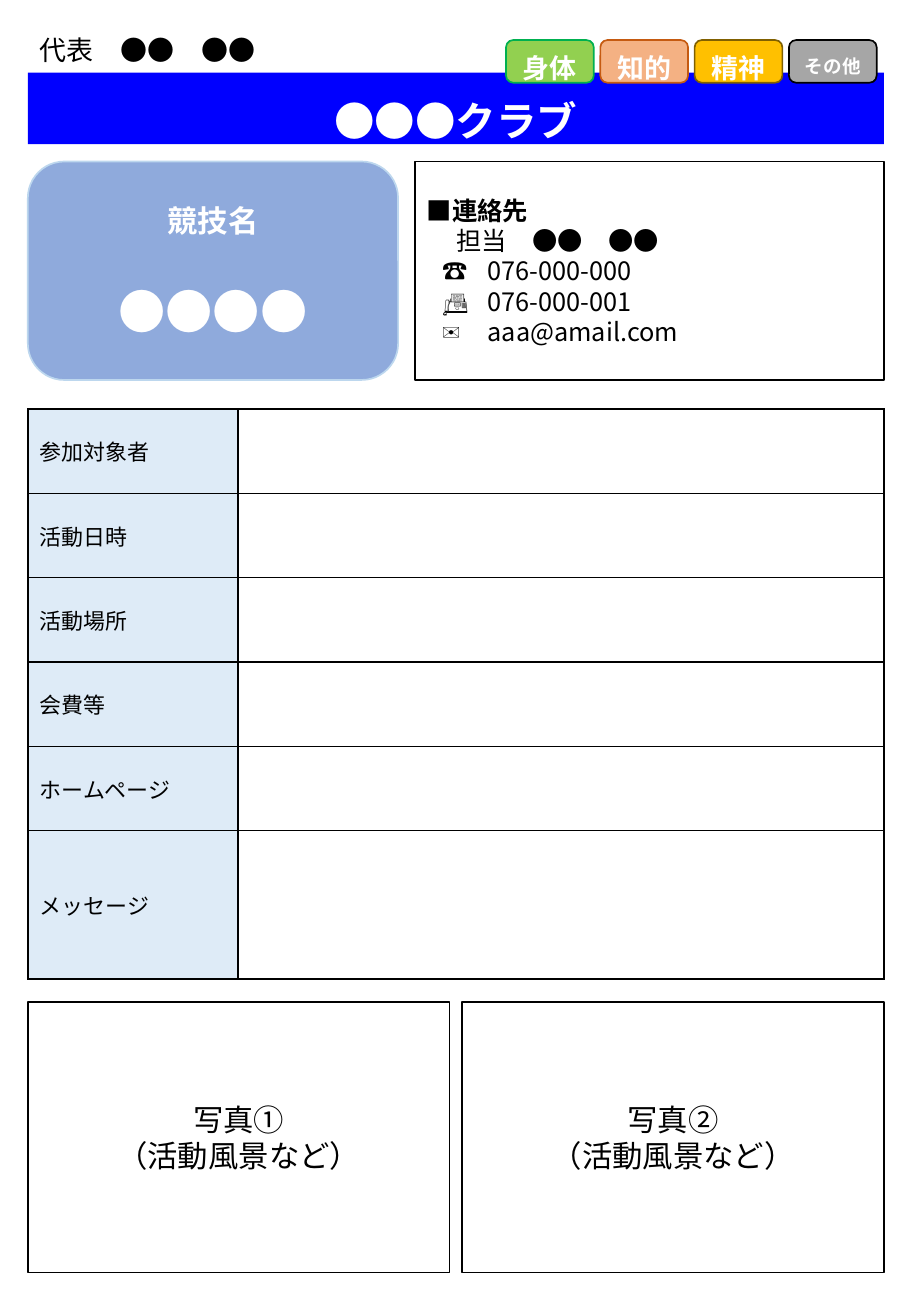
from dataclasses import dataclass
from typing import Optional

from lxml.etree import SubElement
from pptx import Presentation
from pptx.dml.color import RGBColor
from pptx.enum.shapes import MSO_SHAPE as Preset
from pptx.enum.text import MSO_ANCHOR as Anchor, MSO_AUTO_SIZE as AutoSize, PP_ALIGN as Align
from pptx.oxml.ns import qn
from pptx.util import Pt


@dataclass(frozen=True)
class Theme:
    font: str = "Noto Sans CJK JP"
    black: str = "000000"
    white: str = "FFFFFF"
    banner: str = "0000FF"
    sport_fill: str = "8FAADC"
    sport_line: str = "BDD7EE"
    label_fill: str = "DEEBF7"
    banner_size: float = 24
    dots_size: float = 28
    heading_size: float = 18
    body_size: float = 16
    contact_size: float = 15
    label_size: float = 13
    small_size: float = 11


THEME = Theme()


@dataclass(frozen=True)
class Box:
    left: float
    top: float
    width: float
    height: float

    def lengths(self) -> list:
        return [Pt(v) for v in (self.left, self.top, self.width, self.height)]


@dataclass(frozen=True)
class Line:
    text: str
    size: float
    color: str = THEME.black
    bold: bool = False
    align: Align = Align.LEFT
    spacing: Optional[object] = None
    before: float = 0
    indent: float = 0
    tab: float = 0


@dataclass(frozen=True)
class Badge:
    text: str
    fill: str
    border: str
    size: float = THEME.body_size
    spacing: float = 27


LEFT, WIDTH = 16.5, 507.5
RIGHT = LEFT + WIDTH

BADGES = [
    Badge("身体", "92D050", "00B050"),
    Badge("知的", "F4B183", "C55A11"),
    Badge("精神", "FFC000", "806000"),
    Badge("その他", "A6A6A6", THEME.black, THEME.small_size, 19),
]
CONTACT = [
    Line("■連絡先", THEME.contact_size, bold=True),
    Line("担当\u3000●●\u3000●●".replace("\u3000", "　"), THEME.contact_size, indent=17.5),
    Line("☎\t076-000-000", THEME.contact_size, indent=9, tab=57),
    Line("📠\t076-000-001", THEME.contact_size, indent=9, tab=57.5),
    Line("✉\t aaa@amail.com".replace(" ", ""), THEME.contact_size, indent=9, tab=53),
]
DETAILS = [
    ("参加対象者", 50), ("活動日時", 50), ("活動場所", 50),
    ("会費等", 50), ("ホームページ", 50), ("メッセージ", 88),
]


def rgb(color: str) -> RGBColor:
    return RGBColor.from_string(color)


def write(frame, lines: list[Line]) -> None:
    frame.word_wrap = True
    frame.auto_size = AutoSize.NONE
    frame.vertical_anchor = Anchor.MIDDLE
    frame.text = "\n".join(line.text for line in lines)
    for paragraph, line in zip(frame.paragraphs, lines):
        style(paragraph, line)


def style(paragraph, line: Line) -> None:
    paragraph.alignment = line.align
    if line.spacing:
        paragraph.line_spacing = line.spacing
    if line.before:
        paragraph.space_before = Pt(line.before)
    properties = paragraph._p.get_or_add_pPr()
    if line.indent:
        properties.set("marL", "0")
        properties.set("indent", str(Pt(line.indent)))
    if line.tab:
        stops = SubElement(properties, qn("a:tabLst"))
        SubElement(stops, qn("a:tab"), pos=str(Pt(line.tab)), algn="l")
    for run in paragraph.runs:
        font = run.font
        font.name, font.size, font.bold = THEME.font, Pt(line.size), line.bold
        font.color.rgb = rgb(line.color)
        SubElement(run._r.get_or_add_rPr(), qn("a:ea"), typeface=THEME.font)


def panel(slide, box: Box, lines: list[Line], fill: str = THEME.white,
          border: str = THEME.black, preset: Preset = Preset.RECTANGLE) -> None:
    shape = slide.shapes.add_shape(preset, *box.lengths())
    shape.shadow.inherit = False
    shape.fill.solid()
    shape.fill.fore_color.rgb = rgb(fill)
    shape.line.color.rgb = rgb(border)
    shape.line.width = Pt(1)
    write(shape.text_frame, lines)


def fill_cell(cell, fill: str) -> None:
    properties = cell._tc.get_or_add_tcPr()
    for side in ("lnL", "lnR", "lnT", "lnB"):
        edge = SubElement(properties, qn(f"a:{side}"), w=str(Pt(1)))
        SubElement(SubElement(edge, qn("a:solidFill")), qn("a:srgbClr"), val=THEME.black)
    cell.fill.solid()
    cell.fill.fore_color.rgb = rgb(fill)


def add_details(slide, box: Box, label_width: float) -> None:
    table = slide.shapes.add_table(len(DETAILS), 2, *box.lengths()).table
    table.first_row = table.horz_banding = False
    table.columns[0].width = Pt(label_width)
    table.columns[1].width = Pt(box.width - label_width)
    for row, (label, height) in zip(table.rows, DETAILS):
        row.height = Pt(height)
        label_cell, entry_cell = row.cells
        fill_cell(label_cell, THEME.label_fill)
        fill_cell(entry_cell, THEME.white)
        label_cell.vertical_anchor = Anchor.MIDDLE
        label_cell.text_frame.text = label
        style(label_cell.text_frame.paragraphs[0], Line(label, THEME.label_size))


def main() -> None:
    deck = Presentation()
    deck.slide_width, deck.slide_height = Pt(540), Pt(780)
    slide = deck.slides.add_slide(deck.slide_layouts[5])

    # Club name banner
    banner = slide.shapes.title
    banner.left, banner.top, banner.width, banner.height = Box(LEFT, 43, WIDTH, 42.5).lengths()
    banner.fill.solid()
    banner.fill.fore_color.rgb = rgb(THEME.banner)
    write(banner.text_frame, [Line("●●●クラブ", THEME.banner_size, THEME.white, True,
                                   Align.CENTER, spacing=1.5)])

    # Representative
    representative = slide.shapes.add_textbox(*Box(LEFT, 16.5, 173, 26).lengths())
    write(representative.text_frame, [Line("代表　●●　●●", THEME.body_size)])

    # Disability category badges
    for index, badge in enumerate(BADGES):
        panel(slide, Box(300 + 55.9 * index, 23.75, 52, 25.25),
              [Line(badge.text, badge.size, THEME.white, True, Align.CENTER, Pt(badge.spacing))],
              badge.fill, badge.border, Preset.ROUNDED_RECTANGLE)

    # Sport and contact
    panel(slide, Box(LEFT, 95.75, 219.5, 129.5),
          [Line("競技名", THEME.heading_size, THEME.white, True, Align.CENTER),
           Line("●●●●", THEME.dots_size, THEME.white, True, Align.CENTER, before=26)],
          THEME.sport_fill, THEME.sport_line, Preset.ROUNDED_RECTANGLE)
    panel(slide, Box(246, 95.75, RIGHT - 246, 129.5), CONTACT)

    # Activity details
    add_details(slide, Box(LEFT, 242.5, WIDTH, sum(h for _, h in DETAILS)), 124.5)

    # Photo frames
    photo_width = 250
    for left, number in ((LEFT, "①"), (RIGHT - photo_width, "②")):
        panel(slide, Box(left, 593.75, photo_width, 160.5),
              [Line(text, THEME.heading_size, align=Align.CENTER)
               for text in (f"写真{number}", "（活動風景など）")])

    deck.save("out.pptx")


if __name__ == "__main__":
    main()
